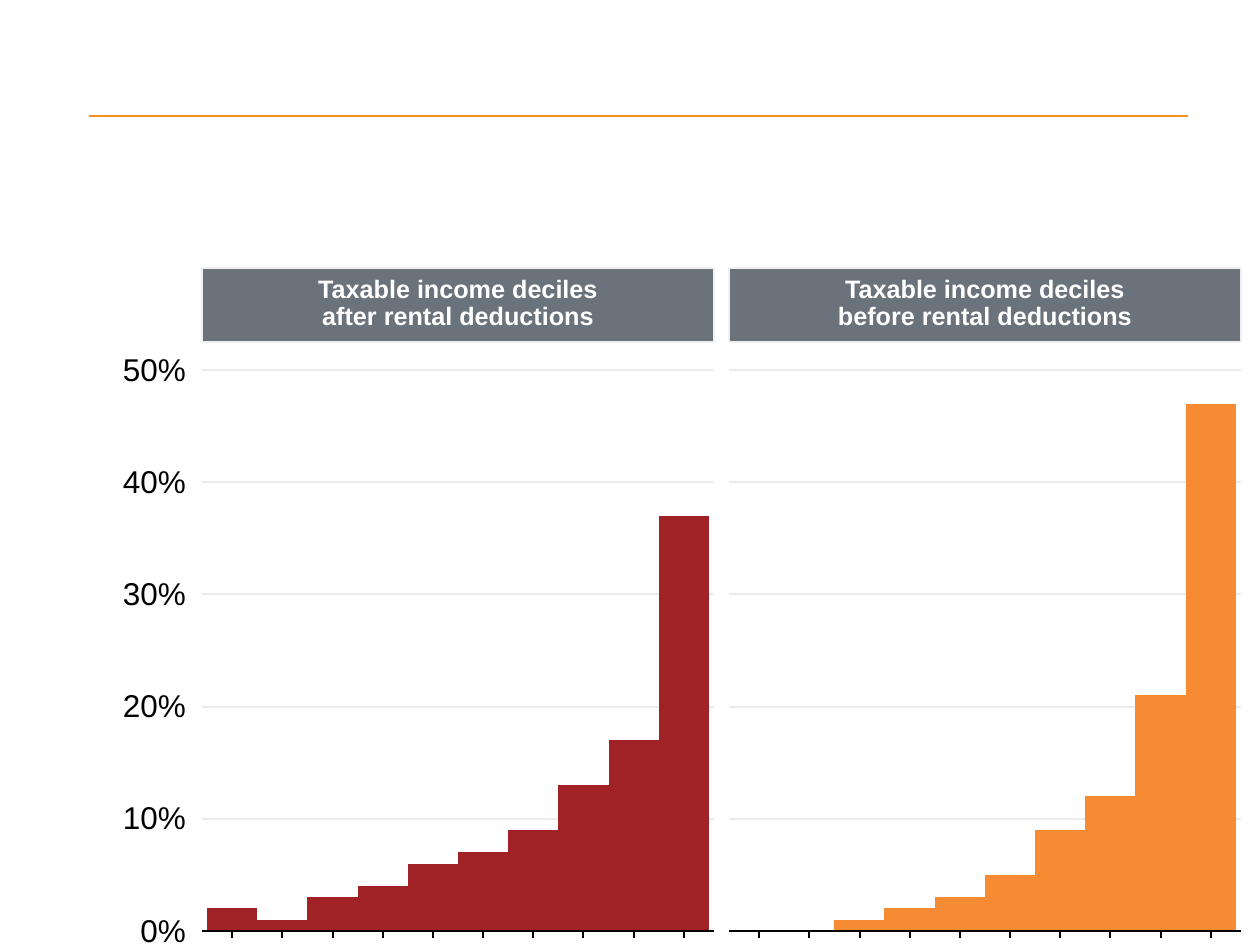
from pptx import Presentation
from pptx import util as u
from pptx.chart import data
from pptx.dml.color import RGBColor
from pptx.enum import chart as charts, shapes, text
from pptx.oxml import parse_xml
from pptx.oxml import ns

PX = 914400 // 126
ORANGE_RULE = RGBColor(0xF3, 0x90, 0x1D)
RED = RGBColor(0xA0, 0x22, 0x26)
ORANGE = RGBColor(0xF6, 0x8B, 0x33)
SLATE = RGBColor(0x6A, 0x73, 0x7B)
PALE = RGBColor(0xF0, 0xF0, 0xF0)
GRID = RGBColor(0xEB, 0xEB, 0xEB)
BLACK = RGBColor(0, 0, 0)
WHITE = RGBColor(0xFF, 0xFF, 0xFF)

PANEL_WIDTH, PLOT_INSET, PLOT_WIDTH = 512, 5, 502
PLOT_TOP, BASELINE = 370, 931
CHART_TOP, CHART_BOTTOM = 340, 961
AXIS_MAX, AXIS_STEP = 50, 10
DECILES = range(1, 11)
PANELS = [
    (202, 110, RED, "Taxable income deciles\nafter rental deductions",
     (2, 1, 3, 4, 6, 7, 9, 13, 17, 37)),
    (729, 5, ORANGE, "Taxable income deciles\nbefore rental deductions",
     (0, 0, 1, 2, 3, 5, 9, 12, 21, 47)),
]


def px(*lengths):
    return [u.Emu(length * PX) for length in lengths]


def add_line(page, x1, y1, x2, y2, color, width):
    line = page.shapes.add_connector(
        shapes.MSO_CONNECTOR.STRAIGHT, *px(x1, y1, x2, y2))
    line.line.color.rgb = color
    line.line.width = u.Pt(width)
    properties = line._element.spPr
    properties.append(parse_xml(f"<a:effectLst {ns.nsdecls('a')}/>"))


def add_gridlines(page, left):
    for value in range(0, AXIS_MAX + 1, AXIS_STEP):
        y = BASELINE - round((BASELINE - PLOT_TOP) * value / AXIS_MAX)
        add_line(page, left, y, left + PANEL_WIDTH, y, GRID, 1.07)


def add_header(page, left, title):
    box = page.shapes.add_shape(
        shapes.MSO_SHAPE.RECTANGLE, *px(left, 268, PANEL_WIDTH, 74))
    box.shadow.inherit = False
    box.fill.solid()
    box.fill.fore_color.rgb = SLATE
    box.line.color.rgb = PALE
    box.line.width = u.Pt(1.07)
    frame = box.text_frame
    frame.text = title
    frame.vertical_anchor = text.MSO_ANCHOR.MIDDLE
    frame.margin_top, frame.margin_bottom = px(0, 2)
    for para in frame.paragraphs:
        para.alignment = text.PP_ALIGN.CENTER
        para.line_spacing = u.Pt(15.4)
        para.font.name = "Arial"
        para.font.size = u.Pt(14.4)
        para.font.bold = True
        para.font.color.rgb = WHITE


def fix_plot_area(chart, margin, width):
    height = CHART_BOTTOM - CHART_TOP
    fractions = {
        "x": margin / width,
        "y": (PLOT_TOP - CHART_TOP) / height,
        "w": PLOT_WIDTH / width,
        "h": (BASELINE - PLOT_TOP) / height,
    }
    sizes = "".join(f'<c:{k} val="{v:.4f}"/>' for k, v in fractions.items())
    layout = parse_xml(
        f"<c:layout {ns.nsdecls('c')}><c:manualLayout>"
        '<c:layoutTarget val="inner"/><c:xMode val="edge"/><c:yMode val="edge"/>'
        f"{sizes}</c:manualLayout></c:layout>")
    body = chart._chartSpace.find(ns.qn("c:chart"))
    plot_area = body.find(ns.qn("c:plotArea"))
    for old in plot_area.findall(ns.qn("c:layout")):
        plot_area.remove(old)
    plot_area.insert(0, layout)
    body.addnext(parse_xml(
        f"<c:spPr {ns.nsdecls('c', 'a')}><a:noFill/>"
        "<a:ln><a:noFill/></a:ln></c:spPr>"))


def style_axes(chart, labelled):
    values, categories = chart.value_axis, chart.category_axis
    values.minimum_scale, values.maximum_scale = 0, AXIS_MAX
    values.major_unit = AXIS_STEP
    values.has_major_gridlines = False
    values.major_tick_mark = charts.XL_TICK_MARK.OUTSIDE
    values.tick_labels.number_format = '0"%"_)'
    values.tick_labels.number_format_is_linked = False
    if not labelled:
        values.major_tick_mark = charts.XL_TICK_MARK.NONE
        values.tick_label_position = charts.XL_TICK_LABEL_POSITION.NONE
    categories.major_tick_mark = charts.XL_TICK_MARK.NONE
    categories.tick_label_position = charts.XL_TICK_LABEL_POSITION.NONE
    for axis in (values, categories):
        axis.format.line.fill.background()


def add_histogram(page, left, margin, color, title, shares):
    chart_data = data.CategoryChartData(number_format="0")
    chart_data.categories = [str(decile) for decile in DECILES]
    chart_data.add_series(title.replace("\n", " "), shares)
    width = margin + PLOT_WIDTH + PLOT_INSET
    frame = page.shapes.add_chart(
        charts.XL_CHART_TYPE.COLUMN_CLUSTERED,
        *px(left + PLOT_INSET - margin, CHART_TOP, width,
            CHART_BOTTOM - CHART_TOP),
        chart_data)
    chart = frame.chart
    chart.has_title = False
    chart.has_legend = False
    chart.font.name = "Arial"
    chart.font.size = u.Pt(18)
    chart.font.color.rgb = BLACK
    plot = chart.plots[0]
    plot.gap_width = 0
    plot.vary_by_categories = False
    fill = plot.series[0].format.fill
    fill.solid()
    fill.fore_color.rgb = color
    style_axes(chart, labelled=margin > PLOT_INSET)
    fix_plot_area(chart, margin, width)


def add_decile_axis(page, left):
    add_line(page, left, BASELINE, left + PANEL_WIDTH, BASELINE, BLACK, 1.07)
    for decile in DECILES:
        x = left + PLOT_INSET + round((decile - 0.5) * PLOT_WIDTH / 10)
        add_line(page, x, BASELINE, x, BASELINE + 7, BLACK, 1.07)


def main():
    deck = Presentation()
    deck.slide_width, deck.slide_height = px(1260, 945)
    page = deck.slides.add_slide(deck.slide_layouts[6])
    add_line(page, 89, 116, 1188, 116, ORANGE_RULE, 1.5)
    for left, margin, color, title, shares in PANELS:
        add_gridlines(page, left)
        add_histogram(page, left, margin, color, title, shares)
        add_header(page, left, title)
        add_decile_axis(page, left)
    deck.save("out.pptx")


if __name__ == "__main__":
    main()
